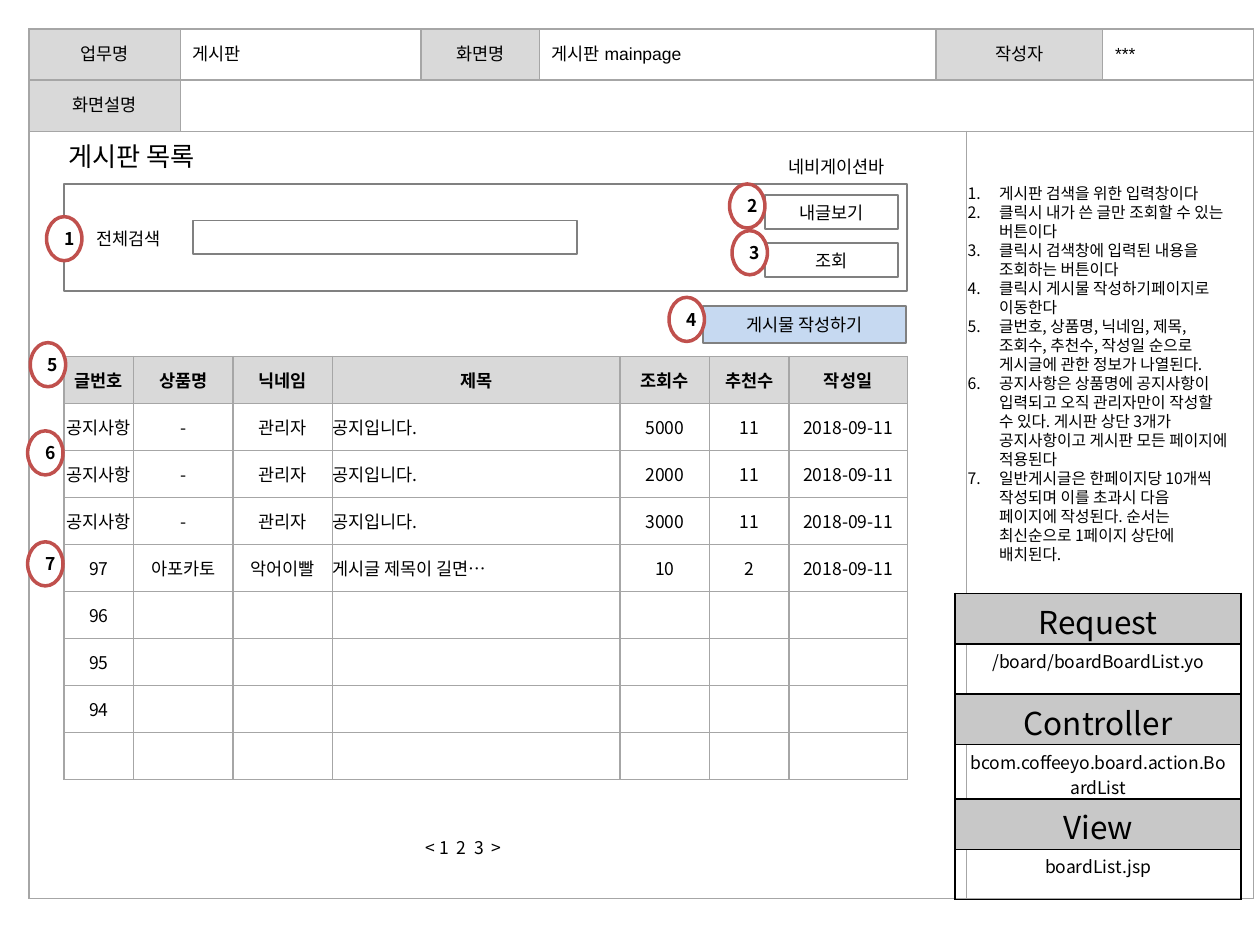
from lxml.etree import SubElement
from pptx import Presentation
from pptx.dml.color import RGBColor
from pptx.enum.shapes import MSO_SHAPE as Kind
from pptx.enum.text import MSO_ANCHOR as Anchor, PP_ALIGN as Align
from pptx.oxml import parse_xml
from pptx.oxml.ns import nsdecls, qn
from pptx.util import Pt

NOTO = "Noto Sans CJK KR"
GRAY, WHITE = "D9D9D9", "FFFFFF"
MID, LEFT = Align.CENTER, Align.LEFT

# Content
TITLE = "게시판 목록"
HEAD = [
    ["업무명", "게시판", "화면명", "게시판 mainpage", "작성자", "", "***"],
    ["화면설명"] + [""] * 6,
    [""] * 7,
]
MERGES = [(0, 4, 5), (1, 1, 6), (2, 0, 4), (2, 5, 6)]  # row, first, last column
LABELS = {"업무명", "화면명", "작성자", "화면설명"}
NOTICES = [["공지사항", "-", "관리자", "공지입니다.", hits, "11", "2018-09-11"]
           for hits in ("5000", "2000", "3000")]
POSTS = [
    ["글번호", "상품명", "닉네임", "제목", "조회수", "추천수", "작성일"],
    *NOTICES,
    ["97", "아포카토", "악어이빨", "게시글 제목이 길면…", "10", "2", "2018-09-11"],
    *[[num] + [""] * 6 for num in ("96", "95", "94", "")],
]
FLOW = [
    ("Request", "/board/boardBoardList.yo"),
    ("Controller", "bcom.coffeeyo.board.action.BoardList"),
    ("View", "boardList.jsp"),
]
NOTES = [
    "게시판 검색을 위한 입력창이다",
    "클릭시 내가 쓴 글만 조회할 수 있는 버튼이다",
    "클릭시 검색창에 입력된 내용을 조회하는 버튼이다",
    "클릭시 게시물 작성하기페이지로 이동한다",
    "글번호, 상품명, 닉네임, 제목, 조회수, 추천수, 작성일 순으로 게시글에 관한 정보가 나열된다.",
    "공지사항은 상품명에 공지사항이 입력되고 오직 관리자만이 작성할 수 있다. "
    "게시판 상단 3개가 공지사항이고 게시판 모든 페이지에 적용된다",
    "일반게시글은 한페이지당 10개씩 작성되며 이를 초과시 다음 페이지에 작성된다. "
    "순서는 최신순으로 1페이지 상단에 배치된다.",
]
# Text, box, fill, line, alignment
BOXES = [
    ("", (36.7, 105.1, 481.7, 61.2), WHITE, "808080", MID),
    ("조회", (437, 139, 76.3, 19.4), WHITE, "808080", MID),
    ("전체검색", (48.2, 126.7, 116.6, 18.7), WHITE, None, LEFT),
    ("", (110.2, 126, 219.6, 19.4), WHITE, "808080", MID),
    ("게시물 작성하기", (401.8, 175, 116, 20.9), "C6D9F1", "808080", MID),
    ("내글보기", (437, 111.6, 76.3, 19.4), WHITE, "808080", MID),
]
# Number: left, top
MARKS = {1: (26.6, 123.8), 2: (416.9, 105.1), 4: (382.3, 169.9), 3: (418.3, 131.8),
         6: (15.8, 246.2), 5: (17.3, 195.8), 7: (15.8, 309.6)}


def tint(code):
    return RGBColor.from_string(code)


def style(para, size=10, name=NOTO, bold=False, align=LEFT):
    para.alignment = align
    font = para.font
    font.size, font.name, font.bold = Pt(size), name, bold
    font.color.rgb = tint("000000")
    base = para._p.pPr.find(qn("a:defRPr"))
    SubElement(base, qn("a:ea")).set("typeface", name)


def paint(cell, fill, line):
    if fill:
        cell.fill.solid()
        cell.fill.fore_color.rgb = tint(fill)
    else:
        cell.fill.background()
    props = cell._tc.get_or_add_tcPr()
    for i, side in enumerate("LRTB"):
        props.insert(i, parse_xml(
            f'<a:ln{side} {nsdecls("a")} w="12700"><a:solidFill>'
            f'<a:srgbClr val="{line}"/></a:solidFill></a:ln{side}>'))


def add_grid(left, top, cols, rows):
    table = shapes.add_table(len(rows), len(cols), Pt(left), Pt(top),
                             Pt(sum(cols)), Pt(sum(rows))).table
    for col, wide in zip(table.columns, cols):
        col.width = Pt(wide)
    for row, high in zip(table.rows, rows):
        row.height = Pt(high)
    return table


def add_text(text, box, wrap=True):
    frame = shapes.add_textbox(*map(Pt, box)).text_frame
    frame.word_wrap = wrap
    frame.text = text
    style(frame.paragraphs[0])


def add_box(kind, text, box, fill, line, align=MID, width=1, bold=False):
    shape = shapes.add_shape(kind, *map(Pt, box))
    shape.shadow.inherit = False
    shape.fill.solid()
    shape.fill.fore_color.rgb = tint(fill)
    if line:
        shape.line.color.rgb = tint(line)
        shape.line.width = Pt(width)
    else:
        shape.line.fill.background()
    if text:
        frame = shape.text_frame
        frame.text = text
        frame.vertical_anchor = Anchor.MIDDLE
        style(frame.paragraphs[0], bold=bold, align=align)


deck = Presentation()
deck.slide_width, deck.slide_height = Pt(720), Pt(540)
slide = deck.slides.add_slide(deck.slide_layouts[5])
shapes = slide.shapes

# Screen header and page frame
head = add_grid(16.6, 16.6, [86.4, 137.5, 67.7, 226.8, 9.4, 77.8, 86.4], [29.2, 29.2, 438.5])
for r, row in enumerate(HEAD):
    for c, text in enumerate(row):
        cell = head.cell(r, c)
        cell.text = text
        cell.vertical_anchor = Anchor.MIDDLE
        label = text in LABELS
        style(cell.text_frame.paragraphs[0], name="Arial", align=MID if label else LEFT)
        paint(cell, GRAY if label else WHITE if r == 2 else None, "A6A6A6")
for r, first, last in MERGES:
    head.cell(r, first).merge(head.cell(r, last))

# Title, raised above the page frame
title = shapes.title
title.left, title.top, title.width, title.height = map(Pt, (31.7, 76.3, 95.8, 25.2))
title.text_frame.text = TITLE
title.text_frame.word_wrap = False
title.text_frame.vertical_anchor = Anchor.TOP
style(title.text_frame.paragraphs[0], size=15)
title.element.getparent().append(title.element)

# Navigation label, notes and page numbers
add_text("네비게이션바", (443.5, 85.7, 74.9, 19.4), wrap=False)
notes = shapes.add_textbox(*map(Pt, (545.8, 101.5, 163.4, 236.2))).text_frame
notes.word_wrap = True
for i, text in enumerate(NOTES):
    para = notes.paragraphs[0] if i == 0 else notes.add_paragraph()
    para.text = text
    props = para._p.get_or_add_pPr()
    props.set("marL", str(Pt(18)))
    props.set("indent", str(Pt(-18)))
    SubElement(props, qn("a:buFont")).set("typeface", "+mj-lt")
    SubElement(props, qn("a:buAutoNum")).set("type", "arabicPeriod")
    para.line_spacing = Pt(10.86)
    style(para, size=9)
add_text("< 1  2  3  >", (236.2, 474.5, 83.5, 19.4))

# Search panel and buttons
for box in BOXES:
    add_box(Kind.RECTANGLE, *box)

# Post list
posts = add_grid(36.7, 203.8, [39.6, 56.9, 56.9, 164.2, 51.1, 45.4, 67.7], [26.86] * len(POSTS))
for r, row in enumerate(POSTS):
    for c, text in enumerate(row):
        cell = posts.cell(r, c)
        cell.text = text
        cell.vertical_anchor = Anchor.MIDDLE
        cell.margin_left = cell.margin_right = 0
        style(cell.text_frame.paragraphs[0], bold=r == 0,
              align=LEFT if r and c == 3 else MID)
        paint(cell, WHITE if r else GRAY, "A6A6A6")

# Numbered markers
for num, (left, top) in MARKS.items():
    add_box(Kind.OVAL, str(num), (left, top, 20.2, 25.2), WHITE, "C0504D", width=2, bold=True)

# Request flow
flow = add_grid(545.8, 339.1, [163.4], [28.8, 28.8, 28.8, 31, 28.8, 28.8])
for r, text in enumerate(sum(FLOW, ())):
    cell = flow.cell(r, 0)
    cell.text = text
    cell.margin_top, cell.margin_bottom = Pt(2.6), 0
    style(cell.text_frame.paragraphs[0], size=10 if r % 2 else 18, align=MID)
    paint(cell, None if r % 2 else "C8C8C8", "000000")

deck.save("out.pptx")
